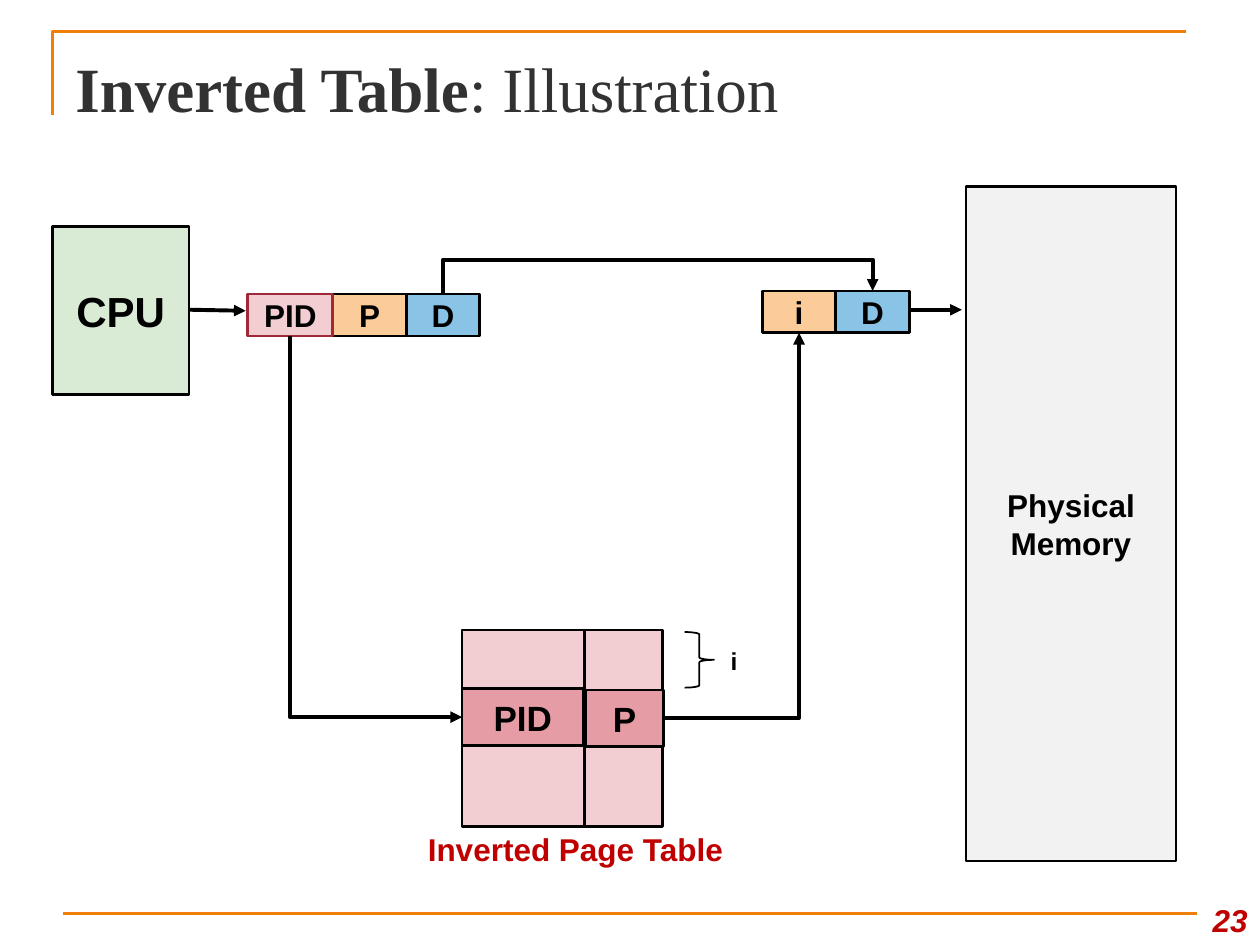
from dataclasses import dataclass

from lxml import etree
from pptx import Presentation
from pptx.dml.color import RGBColor
from pptx.enum.shapes import MSO_CONNECTOR, MSO_SHAPE
from pptx.enum.text import MSO_ANCHOR, PP_ALIGN
from pptx.oxml.ns import qn
from pptx.util import Inches, Pt

STRAIGHT, ELBOW = MSO_CONNECTOR.STRAIGHT, MSO_CONNECTOR.ELBOW
RECTANGLE, BRACE = MSO_SHAPE.RECTANGLE, MSO_SHAPE.RIGHT_BRACE
MIDDLE, BOTTOM = MSO_ANCHOR.MIDDLE, MSO_ANCHOR.BOTTOM
LEFT, CENTER, RIGHT = PP_ALIGN.LEFT, PP_ALIGN.CENTER, PP_ALIGN.RIGHT

COLUMNS, ROWS = 120, 90
Point = tuple[float, float]


@dataclass(frozen=True)
class Theme:
    body_font: str = "Arial"
    title_font: str = "Times New Roman"
    ink: str = "000000"
    title: str = "323232"
    accent: str = "F07F09"
    red: str = "C00000"
    green: str = "D9EAD5"
    orange: str = "FBCC9A"
    blue: str = "89C3E5"
    pink: str = "F2CED2"
    rose: str = "E69CA4"
    crimson: str = "9F2936"
    gray: str = "F2F2F2"
    title_size: int = 36
    large: int = 24
    entry: int = 20
    normal: int = 18
    small: int = 14
    thin: float = 1
    outline: float = 1.5
    arrow: float = 2.25


THEME = Theme()


@dataclass(frozen=True)
class Box:
    column: float
    row: float
    columns: float
    rows: float
    fill: str
    text: str = ""
    size: int = THEME.normal
    line: str = THEME.ink


@dataclass(frozen=True)
class Label:
    column: float
    row: float
    columns: float
    rows: float
    text: str
    size: int
    color: str
    align: PP_ALIGN = CENTER
    anchor: MSO_ANCHOR = MIDDLE
    italic: bool = False


@dataclass(frozen=True)
class Elbow:
    start: Point
    end: Point
    preset: str
    rotation: int = 0
    flips: str = ""
    bend: float | None = None


presentation = Presentation()
presentation.slide_width, presentation.slide_height = Inches(10), Inches(7.5)
slide = presentation.slides.add_slide(presentation.slide_layouts[6])


def across(columns: float) -> int:
    return round(presentation.slide_width * columns / COLUMNS)


def down(rows: float) -> int:
    return round(presentation.slide_height * rows / ROWS)


def frame(item) -> tuple[int, int, int, int]:
    return across(item.column), down(item.row), across(item.columns), down(item.rows)


def set_line(shape, color: str, width: float) -> None:
    shape.line.color.rgb = RGBColor.from_string(color)
    shape.line.width = Pt(width)


def set_font(font, size: int, color: str, name: str = THEME.body_font) -> None:
    font.name, font.size, font.bold = name, Pt(size), True
    font.color.rgb = RGBColor.from_string(color)


def draw_box(box: Box) -> None:
    shape = slide.shapes.add_shape(RECTANGLE, *frame(box))
    shape.shadow.inherit = False
    shape.fill.solid()
    shape.fill.fore_color.rgb = RGBColor.from_string(box.fill)
    set_line(shape, box.line, THEME.outline)
    if box.text:
        shape.text_frame.text = box.text
        shape.text_frame.vertical_anchor = MIDDLE
        paragraph = shape.text_frame.paragraphs[0]
        paragraph.alignment = CENTER
        set_font(paragraph.font, box.size, THEME.ink)


def draw_label(label: Label):
    text_frame = slide.shapes.add_textbox(*frame(label)).text_frame
    text_frame.word_wrap = True
    text_frame.vertical_anchor = label.anchor
    paragraph = text_frame.paragraphs[0]
    paragraph.text = label.text
    paragraph.alignment = label.align
    set_font(paragraph.font, label.size, label.color)
    paragraph.font.italic = label.italic
    return paragraph


def draw_line(start: Point, end: Point, color: str, width: float, kind=STRAIGHT):
    connector = slide.shapes.add_connector(
        kind, across(start[0]), down(start[1]), across(end[0]), down(end[1]))
    set_line(connector, color, width)
    etree.SubElement(connector._element.spPr, qn("a:effectLst"))
    return connector


def draw_arrow(start: Point, end: Point, kind=STRAIGHT):
    connector = draw_line(start, end, THEME.ink, THEME.arrow, kind)
    etree.SubElement(connector.line._get_or_add_ln(), qn("a:tailEnd"), type="triangle")
    return connector


def draw_elbow(elbow: Elbow) -> None:
    connector = draw_arrow(elbow.start, elbow.end, ELBOW)
    if elbow.rotation % 180:
        width, height = connector.width, connector.height
        connector.left += (width - height) // 2
        connector.top += (height - width) // 2
        connector.width, connector.height = height, width
    properties = connector._element.spPr
    transform = properties.find(qn("a:xfrm"))
    transform.set("rot", str(elbow.rotation * 60000))
    for axis in "HV":
        transform.set(f"flip{axis}", str(int(axis in elbow.flips)))
    geometry = properties.find(qn("a:prstGeom"))
    geometry.set("prst", elbow.preset)
    if elbow.bend is not None:
        share = round(elbow.bend * 100000)
        guides = geometry.find(qn("a:avLst"))
        etree.SubElement(guides, qn("a:gd"), name="adj1", fmla=f"val {share}")


def draw_title_frame() -> None:
    builder = slide.shapes.build_freeform(across(5), down(11))
    builder.add_line_segments([(across(5), down(3)), (across(113), down(3))], close=False)
    shape = builder.convert_to_shape()
    shape.shadow.inherit = False
    shape.fill.background()
    set_line(shape, THEME.accent, THEME.outline)


def draw_title() -> None:
    paragraph = draw_label(
        Label(6, 3.6, 108, 9.4, "Inverted Table", THEME.title_size, THEME.title, LEFT))
    set_font(paragraph.font, THEME.title_size, THEME.title, THEME.title_font)
    run = paragraph.add_run()
    run.text = ": Illustration"
    run.font.bold = False


def draw_brace() -> None:
    brace = slide.shapes.add_shape(BRACE, across(65.2), down(60.2), across(2.8), down(5.3))
    brace.shadow.inherit = False
    brace.fill.background()
    set_line(brace, THEME.ink, THEME.thin)


BOXES = [
    Box(5, 21.6, 13, 16, THEME.green, "CPU", THEME.large),
    Box(31.7, 28, 7, 4, THEME.orange, "P"),
    Box(38.7, 28, 7, 4, THEME.blue, "D"),
    Box(92, 17.75, 20, 64.25, THEME.gray, "Physical Memory"),
    Box(72.6, 27.7, 7, 4, THEME.orange, "i"),
    Box(79.6, 27.7, 7, 4, THEME.blue, "D"),
    Box(23.6, 28, 8.1, 4, THEME.pink, "PID", line=THEME.crimson),
    Box(55.7, 60, 7.4, 18.7, THEME.pink),
    Box(55.8, 65.7, 7.4, 5.4, THEME.rose, "P", THEME.entry),
    Box(44, 60, 11.7, 18.7, THEME.pink),
    Box(44, 65.6, 11.6, 5.4, THEME.rose, "PID", THEME.entry),
]
LABELS = [
    Label(38.8, 77.9, 32, 5.9, "Inverted Page Table", THEME.normal, THEME.red),
    Label(66.4, 59.9, 7, 6.1, "i", THEME.small, THEME.ink),
    Label(113, 84, 7, 6, "23", THEME.normal, THEME.red, RIGHT, BOTTOM, True),
]
ELBOWS = [
    Elbow((42.2, 28), (83.1, 27.7), "bentConnector3", 90, "HV", 3.25 / 0.3),
    Elbow((63.1, 68.4), (76.1, 31.7), "bentConnector2", 0, "V"),
    Elbow((27.6, 32), (44, 68.3), "bentConnector2", 270, "H"),
]
ARROWS = [((18.1, 29.5), (23.4, 29.6)), ((86.6, 29.5), (91.6, 29.5))]

draw_title_frame()
draw_line((6, 87), (114, 87), THEME.accent, THEME.outline)
draw_title()
for box in BOXES:
    draw_box(box)
for elbow in ELBOWS:
    draw_elbow(elbow)
for start, end in ARROWS:
    draw_arrow(start, end)
draw_brace()
for label in LABELS:
    draw_label(label)

presentation.save("out.pptx")
